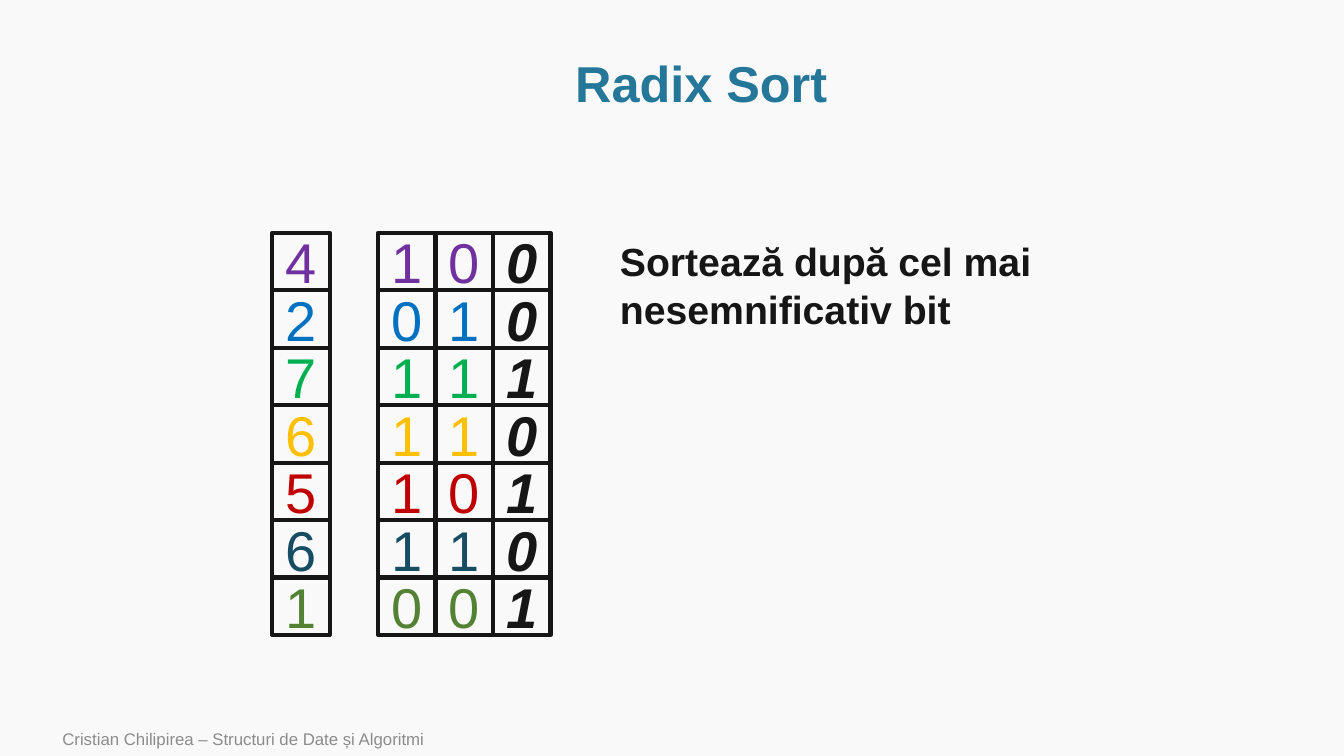
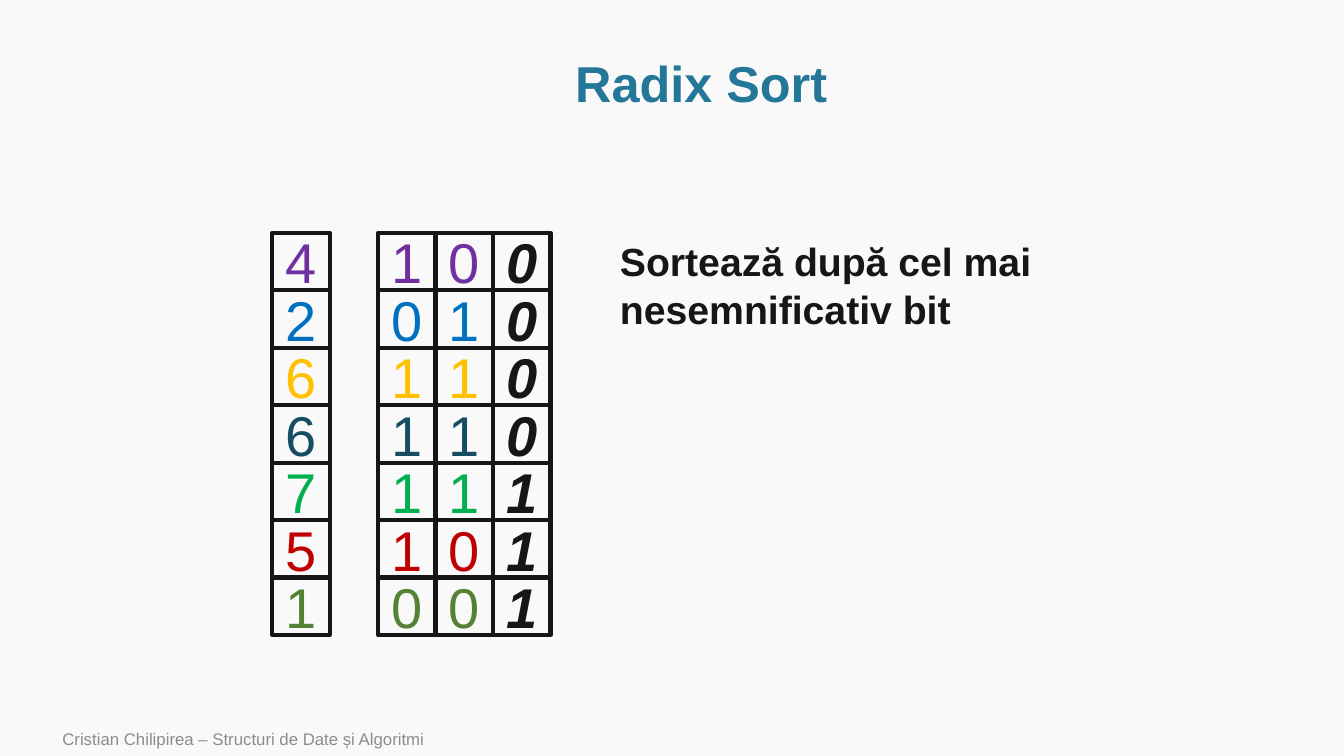
import pptx
import pptx.dml.color
import pptx.enum.shapes
import pptx.enum.text
import pptx.util

PX = 9144
SLIDE_SIZE = (1333, 750)
FONT = "Arial"
COLORS = {
    "background": "F9F9F9",
    "title": "247798",
    "ink": "171616",
    "footer": "8C8C8C",
    "purple": "7030A0",
    "blue": "0070C0",
    "green": "00B050",
    "yellow": "FFC000",
    "red": "C00000",
    "teal": "174D63",
    "olive": "548235",
}

TITLE = "Radix Sort"
STEP = "Sortează după cel mai nesemnificativ bit"
FOOTER = "Cristian Chilipirea – Structuri de Date și Algoritmi"
BIT_COUNT = 3
KEY_BIT = 2
UNSORTED = [
    (4, "purple"),
    (2, "blue"),
    (7, "green"),
    (6, "yellow"),
    (5, "red"),
    (6, "teal"),
    (1, "olive"),
]


def bits_of(value):
    return format(value, f"0{BIT_COUNT}b")


SORTED = sorted(UNSORTED, key=lambda item: bits_of(item[0])[KEY_BIT])
SLIDES = [UNSORTED, SORTED]

TITLE_BOX = (114, 51, 1163, 69)
STEP_BOX = (605, 231, 665, 104)
FOOTER_BOX = (52, 716, 840, 34)
CELL = 57
GRID_TOP = 231
VALUE_LEFT = 270
BITS_LEFT = 375

CENTER = pptx.enum.text.PP_ALIGN.CENTER
LEFT = pptx.enum.text.PP_ALIGN.LEFT
MIDDLE = pptx.enum.text.MSO_ANCHOR.MIDDLE
TOP = pptx.enum.text.MSO_ANCHOR.TOP


def rgb(name):
    return pptx.dml.color.RGBColor.from_string(COLORS[name])


def to_emu(box):
    return [length * PX for length in box]


def write_text(shape, text, size, color, bold=False, italic=False,
               align=LEFT, anchor=MIDDLE, spacing=None):
    frame = shape.text_frame
    frame.word_wrap = True
    frame.vertical_anchor = anchor
    paragraph = frame.paragraphs[0]
    paragraph.alignment = align
    if spacing:
        paragraph.line_spacing = spacing
    run = paragraph.add_run()
    run.text = text
    run.font.name = FONT
    run.font.size = pptx.util.Pt(size)
    run.font.bold = bold
    run.font.italic = italic
    run.font.color.rgb = rgb(color)


def add_text(slide, box, text, **text_format):
    write_text(slide.shapes.add_textbox(*to_emu(box)), text, **text_format)


def add_cell(slide, left, top, text, color, key=False):
    shape = slide.shapes.add_shape(
        pptx.enum.shapes.MSO_SHAPE.RECTANGLE, *to_emu((left, top, CELL, CELL)))
    shape.shadow.inherit = False
    shape.fill.background()
    shape.line.color.rgb = rgb("ink")
    shape.line.width = pptx.util.Pt(3)
    write_text(shape, text, size=40, color="ink" if key else color,
               bold=key, italic=key, align=CENTER)


def add_grid(slide, items):
    for row, (value, color) in enumerate(items):
        top = GRID_TOP + row * CELL
        add_cell(slide, VALUE_LEFT, top, str(value), color)
        for column, bit in enumerate(bits_of(value)):
            add_cell(slide, BITS_LEFT + column * CELL, top, bit, color,
                     key=column == KEY_BIT)


def main():
    presentation = pptx.Presentation()
    presentation.slide_width, presentation.slide_height = to_emu(SLIDE_SIZE)
    background = presentation.slide_master.background.fill
    background.solid()
    background.fore_color.rgb = rgb("background")
    for items in SLIDES:
        slide = presentation.slides.add_slide(presentation.slide_layouts[6])
        add_text(slide, TITLE_BOX, TITLE, size=36, color="title", bold=True,
                 align=CENTER, spacing=0.9)
        add_grid(slide, items)
        add_text(slide, STEP_BOX, STEP, size=28, color="ink", bold=True, anchor=TOP)
        add_text(slide, FOOTER_BOX, FOOTER, size=12, color="footer")
    presentation.save("out.pptx")


if __name__ == "__main__":
    main()
